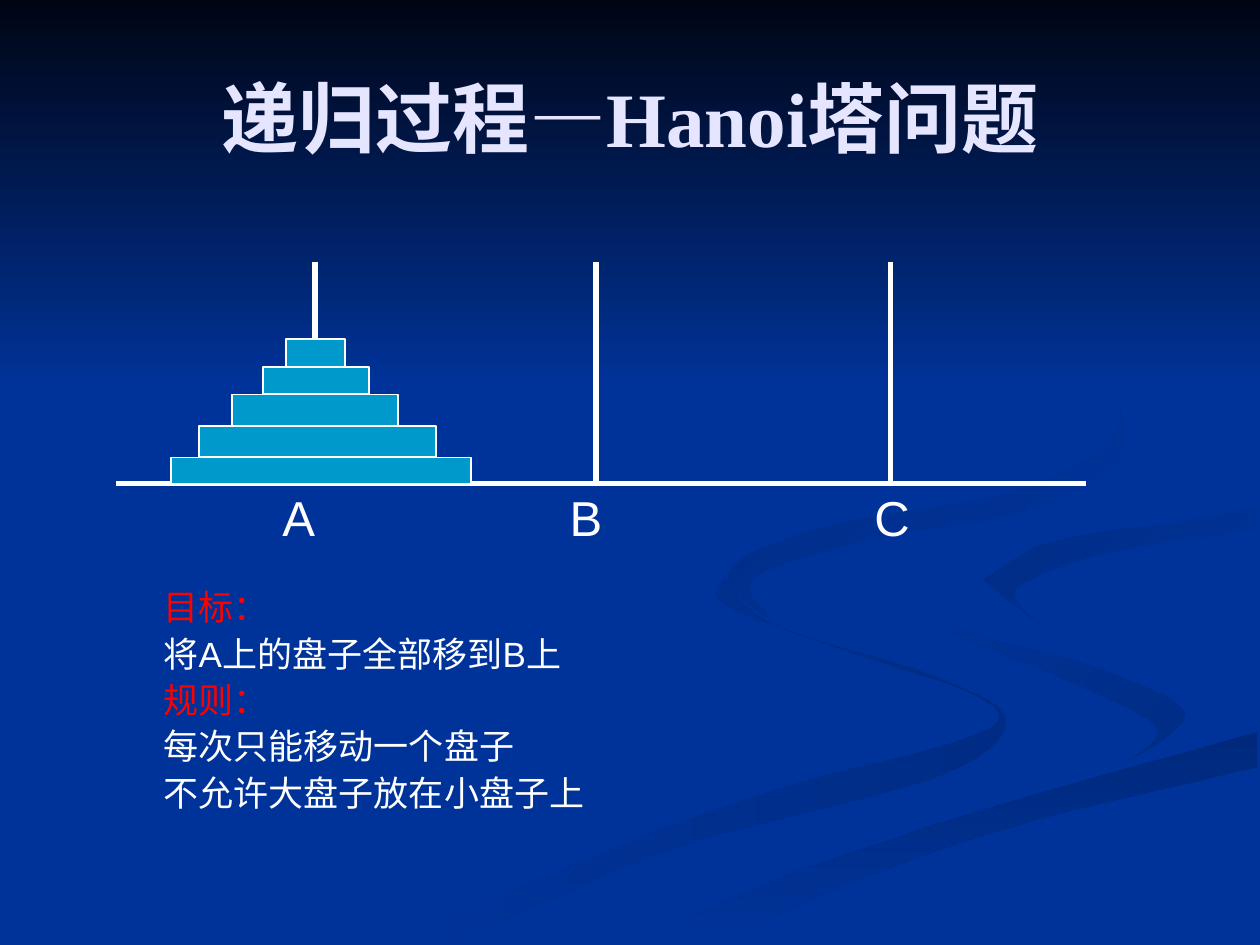
from pptx import Presentation
from pptx.dml.color import RGBColor
from pptx.enum.shapes import MSO_CONNECTOR, MSO_SHAPE
from pptx.enum.text import MSO_ANCHOR, PP_ALIGN
from pptx.oxml.ns import qn
from pptx.util import Inches, Pt
from lxml import etree

STRAIGHT, RECTANGLE = MSO_CONNECTOR.STRAIGHT, MSO_SHAPE.RECTANGLE
TOP, MIDDLE = MSO_ANCHOR.TOP, MSO_ANCHOR.MIDDLE
LEFT, CENTER = PP_ALIGN.LEFT, PP_ALIGN.CENTER

BLUE = RGBColor(0x00, 0x33, 0x99)
NIGHT = RGBColor(0x00, 0x05, 0x14)
SHADE = RGBColor(0x00, 0x2C, 0x85)
DEEP_SHADE = RGBColor(0x00, 0x29, 0x7C)
LAVENDER = RGBColor(0xE5, 0xE5, 0xFF)
DISK_BLUE = RGBColor(0x00, 0x99, 0xCC)
WHITE = RGBColor(0xFF, 0xFF, 0xFF)
RED = RGBColor(0xFF, 0x00, 0x00)

# Ribbons in inches: two edges as curve knots, first and last colour, clockwise angle
RIBBONS = [
    ([(5.75, 4.59), (5.76, 4.8), (6.79, 5.19), (7.76, 5.53), (7.74, 5.83),
      (5.79, 6.39), (3, 7.49)],
     [(3.61, 7.49), (5.32, 6.74), (7.4, 6.18), (7.99, 5.73), (7.45, 5.38),
      (6.14, 4.96), (5.75, 4.59)], SHADE, BLUE, 180),
    ([(7.24, 4.64), (7.58, 4.98), (8.7, 5.3), (9.41, 5.66), (8.94, 6.05)],
     [(8.94, 6.05), (9.17, 5.76), (8.38, 5.36), (7.39, 4.94), (7.24, 4.64)],
     SHADE, BLUE, 225),
    ([(5.03, 7.49), (6.3, 6.93), (7.97, 6.38), (9.98, 5.81)],
     [(9.98, 6.09), (8.21, 6.51), (6.7, 7.02), (5.71, 7.49)], DEEP_SHADE, BLUE, 90),
    ([(7.81, 4.6), (8.35, 4.3), (9.33, 4.15), (9.98, 4.02)],
     [(9.98, 4.2), (8.78, 4.39), (8.06, 4.68), (8.26, 4.96), (7.81, 4.6)],
     BLUE, SHADE, 225),
    ([(7.62, 2.33), (8.64, 2.91), (8.92, 3.54), (8.25, 4.02), (6.83, 4.3),
      (5.96, 4.61), (6.22, 5)],
     [(6.22, 5), (5.78, 4.56), (6.49, 4.2), (8.18, 3.86), (8.89, 3.35),
      (8.46, 2.79), (7.62, 2.33)], BLUE, SHADE, 225),
]


def smooth_edge(knots, steps=6):
    """Return points of a Catmull-Rom curve through the knots."""
    padded = [knots[0]] + knots + [knots[-1]]
    points = [knots[0]]
    for a, b, c, d in zip(padded, padded[1:], padded[2:], padded[3:]):
        for step in range(1, steps + 1):
            t = step / steps
            points.append(tuple(
                q + t / 2 * (r - p + t * (2 * p - 5 * q + 4 * r - s
                                          + t * (3 * (q - r) + s - p)))
                for p, q, r, s in zip(a, b, c, d)))
    return points


def shade(shape, first, last, angle):
    """Fill a shape with a two-colour gradient and no outline."""
    shape.shadow.inherit = False
    shape.line.fill.background()
    shape.fill.gradient()
    shape.fill.gradient_angle = 360 - angle
    for stop, colour in zip(shape.fill.gradient_stops, (first, last)):
        stop.color.rgb = colour


def add_text(page, box, lines, font="Arial", size=20, bold=False,
             align=LEFT, anchor=TOP, space_before=0):
    """Add a text box; lines is a list of (text, colour)."""
    frame = page.shapes.add_textbox(*map(Inches, box)).text_frame
    frame.word_wrap = True
    frame.vertical_anchor = anchor
    for index, (text, colour) in enumerate(lines):
        para = frame.add_paragraph() if index else frame.paragraphs[0]
        para.alignment = align
        para.space_before = Pt(space_before)
        span = para.add_run()
        span.text = text
        span.font.name, span.font.size, span.font.bold = font, Pt(size), bold
        span.font.color.rgb = colour


def add_line(page, start, end):
    line = page.shapes.add_connector(STRAIGHT, *map(Inches, start + end))
    line.line.color.rgb = WHITE
    line.line.width = Pt(3)
    etree.SubElement(line._element.spPr, qn("a:effectLst"))


def add_backdrop(page, box):
    """Draw the ribbons and the dark sky from the top left of the box."""
    left, top, width, height = box
    page.background.fill.solid()
    page.background.fill.fore_color.rgb = BLUE
    for near_edge, far_edge, first, last, angle in RIBBONS:
        points = [(round(x * 100), round(y * 100))
                  for x, y in smooth_edge(near_edge) + smooth_edge(far_edge)]
        builder = page.shapes.build_freeform(*points[0], scale=Inches(0.01))
        builder.add_line_segments(points[1:], close=True)
        ribbon = builder.convert_to_shape(Inches(left), Inches(top))
        shade(ribbon, first, last, angle)

    # Dark sky
    sky = page.shapes.add_shape(RECTANGLE, *map(Inches, (left, top, width, height * 0.41)))
    shade(sky, NIGHT, BLUE, 90)


def add_towers(page, box):
    """Draw the base, three pegs, the disks on the first peg and the labels."""
    left, top, width, height = box
    base = top + height
    add_line(page, (left, base), (left + width, base))

    # Pegs and labels: name, peg offset, label centre offset
    pegs = [("A", 1.58, 1.45), ("B", 3.81, 3.73), ("C", 6.15, 6.16)]
    for name, peg, label in pegs:
        add_line(page, (left + peg, top), (left + peg, base))
        add_text(page, (left + label - 0.3, base - 0.02, 0.6, 0.57),
                 [(name, WHITE)], size=28, align=CENTER)

    # Disks, stacked from the largest up: offset, width, height
    disks = [(0.44, 2.38, 0.21), (0.66, 1.88, 0.25), (0.92, 1.32, 0.25),
             (1.17, 0.84, 0.22), (1.35, 0.47, 0.22)]
    level = base
    for offset, disk_width, thickness in disks:
        level -= thickness
        disk = page.shapes.add_shape(
            RECTANGLE, *map(Inches, (left + offset, level, disk_width, thickness)))
        disk.shadow.inherit = False
        disk.fill.solid()
        disk.fill.fore_color.rgb = DISK_BLUE
        disk.line.color.rgb = WHITE
        disk.line.width = Pt(1)


def add_rules(page, box):
    add_text(page, box, [
        ("目标：", RED),
        ("将A上的盘子全部移到B上", WHITE),
        ("规则：", RED),
        ("每次只能移动一个盘子", WHITE),
        ("不允许大盘子放在小盘子上", WHITE),
    ], space_before=2.5)


def main():
    deck = Presentation()
    deck.slide_width, deck.slide_height = Inches(10), Inches(7.5)
    page = deck.slides.add_slide(deck.slide_layouts[6])
    add_backdrop(page, (0, 0, 10, 7.5))
    add_text(page, (0.5, 0.3, 9, 1.25), [("递归过程—Hanoi塔问题", LAVENDER)],
             font="Times New Roman", size=44, bold=True, align=CENTER, anchor=MIDDLE)
    add_rules(page, (1.2, 4.6, 7.71, 1.91))
    add_towers(page, (0.92, 2.08, 7.7, 1.76))
    deck.save("out.pptx")


if __name__ == "__main__":
    main()
